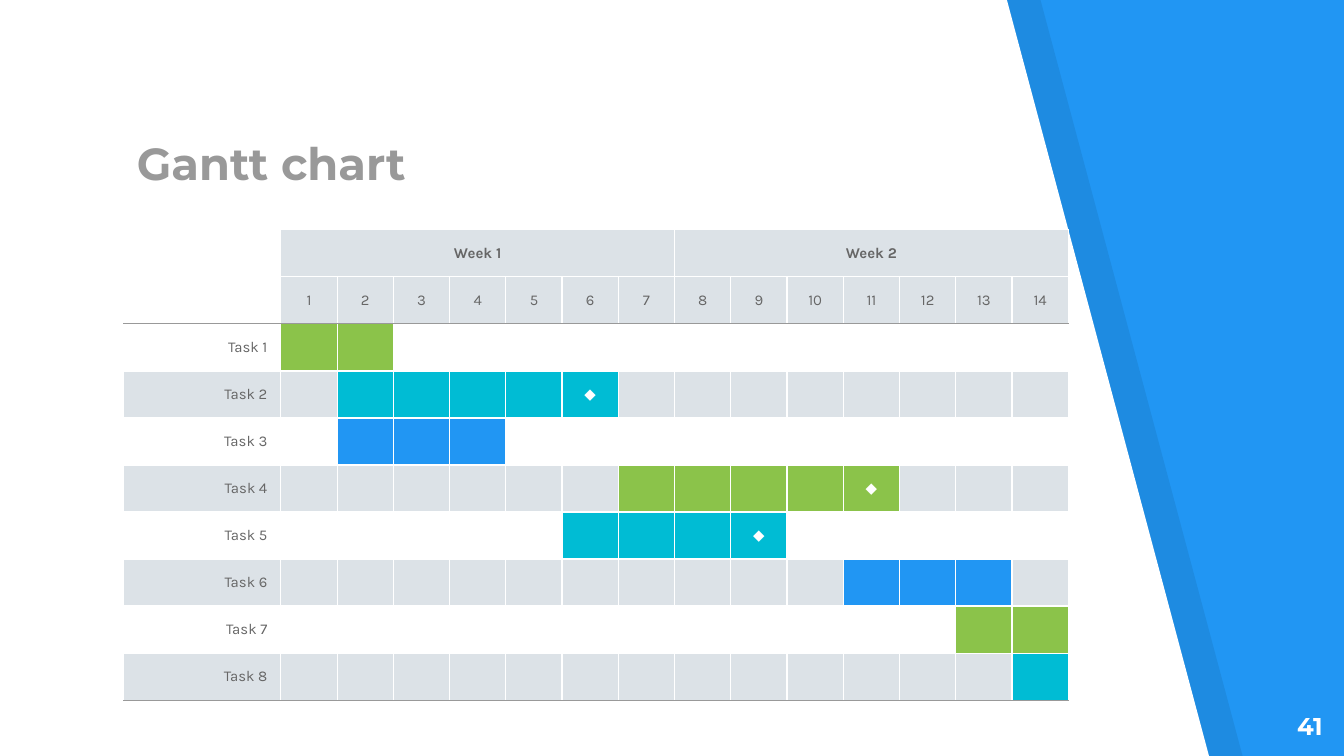
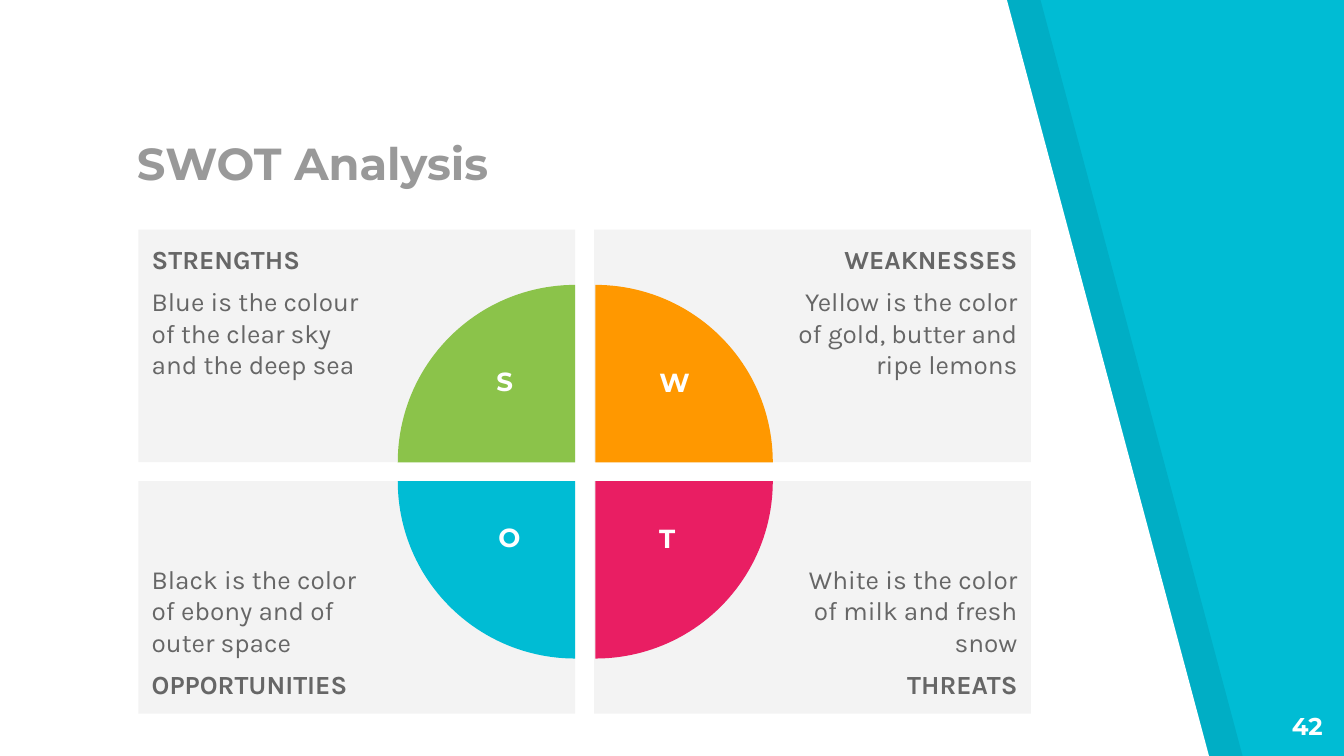
from dataclasses import dataclass

import lxml.etree
import pptx
import pptx.dml.color
import pptx.enum.shapes
import pptx.enum.text
import pptx.oxml.ns
import pptx.util

Inches = pptx.util.Inches
ALIGN = pptx.enum.text.PP_ALIGN
ANCHOR = pptx.enum.text.MSO_ANCHOR
SHAPE = pptx.enum.shapes.MSO_SHAPE
qn = pptx.oxml.ns.qn

# Shared colours and fonts
WHITE, BLACK, TITLE_GREY, TEXT_GREY = "FFFFFF", "000000", "999999", "666666"
BAND, PANEL = "DCE2E7", "F3F3F3"
BLUE, CYAN, GREEN, ORANGE, PINK = "2196F3", "00BCD4", "8BC34A", "FF9800", "E91E63"
HEADING_FONT, BODY_FONT = "Montserrat", "Karla"

DAYS = 14
DAYS_PER_WEEK = 7
HEADER_ROWS = 2
LABEL_WIDTH, TABLE_WIDTH, ROW_HEIGHT = 1.17, 7.03, 0.35
NO_STYLE = "{2D5ABB26-0587-4C30-8999-92F81FD0307C}"


@dataclass(frozen=True)
class Style:
    size: float
    font: str
    color: str
    bold: bool = False


TITLE = Style(24, HEADING_FONT, TITLE_GREY, True)
PAGE_NUMBER = Style(13, HEADING_FONT, WHITE, True)
LETTER = Style(14, HEADING_FONT, WHITE, True)
PANEL_HEADING = Style(14, BODY_FONT, TEXT_GREY, True)
PANEL_BODY = Style(14, BODY_FONT, TEXT_GREY)
WEEK = Style(8, BODY_FONT, TEXT_GREY, True)
CELL = Style(8, BODY_FONT, TEXT_GREY)
MILESTONE = Style(8, BODY_FONT, WHITE)


@dataclass(frozen=True)
class Task:
    first: int
    last: int
    color: str
    milestone: bool = False


@dataclass(frozen=True)
class Quadrant:
    column: int
    row: int
    heading: str
    body: str
    color: str
    rotation: int
    letter_box: tuple[float, float, float, float]


TASKS = [
    Task(1, 2, GREEN),
    Task(2, 6, CYAN, True),
    Task(2, 4, BLUE),
    Task(7, 11, GREEN, True),
    Task(6, 9, CYAN, True),
    Task(11, 13, BLUE),
    Task(13, 14, GREEN),
    Task(14, 14, CYAN),
]

QUADRANTS = [
    Quadrant(0, 0, "STRENGTHS", "Blue is the colour of the clear sky and the deep sea",
             GREEN, 0, (3.56, 2.67, 0.39, 0.49)),
    Quadrant(1, 0, "WEAKNESSES", "Yellow is the color of gold, butter and ripe lemons",
             ORANGE, 90, (4.64, 2.68, 0.76, 0.47)),
    Quadrant(0, 1, "OPPORTUNITIES", "Black is the color of ebony and of outer space",
             CYAN, 270, (3.53, 3.83, 0.52, 0.49)),
    Quadrant(1, 1, "THREATS", "White is the color of milk and fresh snow",
             PINK, 180, (4.76, 3.84, 0.41, 0.47)),
]


def rgb(color: str) -> pptx.dml.color.RGBColor:
    return pptx.dml.color.RGBColor.from_string(color)


def paint(shape, color: str) -> None:
    """Give a shape a flat fill with no line or shadow."""
    shape.shadow.inherit = False
    shape.fill.solid()
    shape.fill.fore_color.rgb = rgb(color)
    shape.line.fill.background()


def write(para, text: str, style: Style, align=ALIGN.LEFT) -> None:
    para.text = text
    para.alignment = align
    for span in para.runs:
        span.font.size = pptx.util.Pt(style.size)
        span.font.name = style.font
        span.font.bold = style.bold
        span.font.color.rgb = rgb(style.color)


def set_margins(frame, left: float, top: float, right: float, bottom: float) -> None:
    frame.margin_left, frame.margin_top = Inches(left), Inches(top)
    frame.margin_right, frame.margin_bottom = Inches(right), Inches(bottom)


def add_text(page, place, text: str, style: Style, align=ALIGN.LEFT,
             anchor=ANCHOR.TOP, vertical_margin: float = 0.1) -> None:
    box = page.shapes.add_textbox(*map(Inches, place))
    frame = box.text_frame
    frame.word_wrap = True
    frame.vertical_anchor = anchor
    set_margins(frame, 0.1, vertical_margin, 0.1, vertical_margin)
    write(frame.paragraphs[0], text, style, align)


# Slide frame: coloured background, slanted white sheet, title and number
def add_sheet(page, left: float, color: str):
    corners = [(left, 5.64), (left + 9, 5.64), (left + 7.49, -0.01)]
    builder = page.shapes.build_freeform(Inches(left), Inches(-0.01))
    builder.add_line_segments([(Inches(x), Inches(y)) for x, y in corners], close=True)
    sheet = builder.convert_to_shape()
    paint(sheet, color)
    return sheet


def add_page(deck, title: str, number: int, color: str):
    page = deck.slides.add_slide(deck.slide_layouts[6])
    page.background.fill.solid()
    page.background.fill.fore_color.rgb = rgb(color)
    shade = add_sheet(page, 0.25, BLACK)
    tone = shade.fill._xPr.find(".//" + qn("a:srgbClr"))
    lxml.etree.SubElement(tone, qn("a:alpha"), val="7000")
    add_sheet(page, 0, WHITE)
    add_text(page, (0.92, 1.06, 5.25, 0.45), title, TITLE, anchor=ANCHOR.BOTTOM)
    add_text(page, (9.34, 5.19, 0.6, 0.43), str(number), PAGE_NUMBER, ALIGN.RIGHT)
    return page


# Gantt table
def set_borders(cell, top: str, bottom: str) -> None:
    properties = cell._tc.get_or_add_tcPr()
    sides = {"lnL": WHITE, "lnR": WHITE, "lnT": top, "lnB": bottom}
    for side, color in sides.items():
        line = lxml.etree.SubElement(properties, qn("a:" + side), w=str(pptx.util.Pt(0.75)))
        fill = lxml.etree.SubElement(line, qn("a:solidFill"))
        lxml.etree.SubElement(fill, qn("a:srgbClr"), val=color)


def fill_cell(cell, text: str, style: Style, align, color: str | None) -> None:
    cell.vertical_anchor = ANCHOR.MIDDLE
    set_margins(cell, 0.1, 0.05, 0.1, 0.05)
    para = cell.text_frame.paragraphs[0]
    write(para, text, style, align)
    if not text:
        # Keeps empty cells from stretching the row
        lxml.etree.SubElement(para._p, qn("a:endParaRPr"), sz=str(style.size * 100))
    if color:
        cell.fill.solid()
        cell.fill.fore_color.rgb = rgb(color)
    else:
        cell.fill.background()


def header_content(row: int, day: int) -> tuple[str, Style, str | None]:
    if day == 0:
        return "", CELL, None
    if row == 1:
        return str(day), CELL, BAND
    week, offset = divmod(day - 1, DAYS_PER_WEEK)
    return ("" if offset else f"Week {week + 1}"), WEEK, BAND


def task_content(number: int, day: int) -> tuple[str, Style, str | None]:
    task = TASKS[number - 1]
    band = None if number % 2 else BAND
    if day == 0:
        return f"Task {number}", CELL, band
    if not task.first <= day <= task.last:
        return "", CELL, band
    marked = task.milestone and day == task.last
    return ("◆" if marked else ""), MILESTONE, task.color


def add_gantt(page) -> None:
    row_count = HEADER_ROWS + len(TASKS)
    frame = page.shapes.add_table(row_count, DAYS + 1, Inches(0.92), Inches(1.71),
                                  Inches(TABLE_WIDTH), Inches(ROW_HEIGHT * row_count))
    table = frame.table
    table.first_row = table.horz_banding = False
    table._tbl.tblPr.find(qn("a:tableStyleId")).text = NO_STYLE
    for index, column in enumerate(table.columns):
        day_width = (TABLE_WIDTH - LABEL_WIDTH) / DAYS
        column.width = Inches(day_width if index else LABEL_WIDTH)
    for row in table.rows:
        row.height = Inches(ROW_HEIGHT)

    ruled = {HEADER_ROWS, row_count}  # row edges drawn in grey
    for row in range(row_count):
        for day in range(DAYS + 1):
            cell = table.cell(row, day)
            set_borders(cell, TITLE_GREY if row in ruled else WHITE,
                        TITLE_GREY if row + 1 in ruled else WHITE)
            if row < HEADER_ROWS:
                text, style, color = header_content(row, day)
            else:
                text, style, color = task_content(row - HEADER_ROWS + 1, day)
            fill_cell(cell, text, style, ALIGN.CENTER if day else ALIGN.RIGHT, color)
    for first in range(1, DAYS, DAYS_PER_WEEK):
        table.cell(0, first).merge(table.cell(0, first + DAYS_PER_WEEK - 1))


# SWOT parts
def add_panel(page, quadrant: Quadrant) -> None:
    panel = page.shapes.add_shape(
        SHAPE.RECTANGLE, Inches(1.03 + 3.39 * quadrant.column),
        Inches(1.71 + 1.87 * quadrant.row), Inches(3.25), Inches(1.73))
    paint(panel, PANEL)
    frame = panel.text_frame
    frame.word_wrap = True
    content = [(quadrant.heading, PANEL_HEADING), (quadrant.body, PANEL_BODY)]
    if quadrant.row:
        content.reverse()
    frame.vertical_anchor = ANCHOR.BOTTOM if quadrant.row else ANCHOR.TOP
    if quadrant.column:
        set_margins(frame, 1.5, 0.1, 0.1, 0.1)
    else:
        set_margins(frame, 0.1, 0.1, 1.5, 0.1)
    align = ALIGN.RIGHT if quadrant.column else ALIGN.LEFT
    first, second = frame.paragraphs[0], frame.add_paragraph()
    for para, (text, style) in zip((first, second), content):
        write(para, text, style, align)
    second.space_before = second.space_after = pptx.util.Pt(6)


def add_quarter(page, quadrant: Quadrant) -> None:
    quarter = page.shapes.add_shape(
        SHAPE.PIE, Inches(2.96 + 0.15 * quadrant.column),
        Inches(2.12 + 0.14 * quadrant.row), Inches(2.64), Inches(2.64))
    quarter.adjustments[0], quarter.adjustments[1] = 108, 162
    quarter.rotation = quadrant.rotation
    paint(quarter, quadrant.color)


def add_swot(page) -> None:
    for quadrant in QUADRANTS:
        add_panel(page, quadrant)
    for quadrant in QUADRANTS:
        add_quarter(page, quadrant)
    for quadrant in QUADRANTS:
        add_text(page, quadrant.letter_box, quadrant.heading[0], LETTER,
                 ALIGN.CENTER, vertical_margin=0.05)


def main() -> None:
    deck = pptx.Presentation()
    deck.slide_width = Inches(10)
    deck.slide_height = Inches(10) * 9 // 16
    add_gantt(add_page(deck, "Gantt chart", 41, BLUE))
    add_swot(add_page(deck, "SWOT Analysis", 42, CYAN))
    deck.save("out.pptx")


if __name__ == "__main__":
    main()
